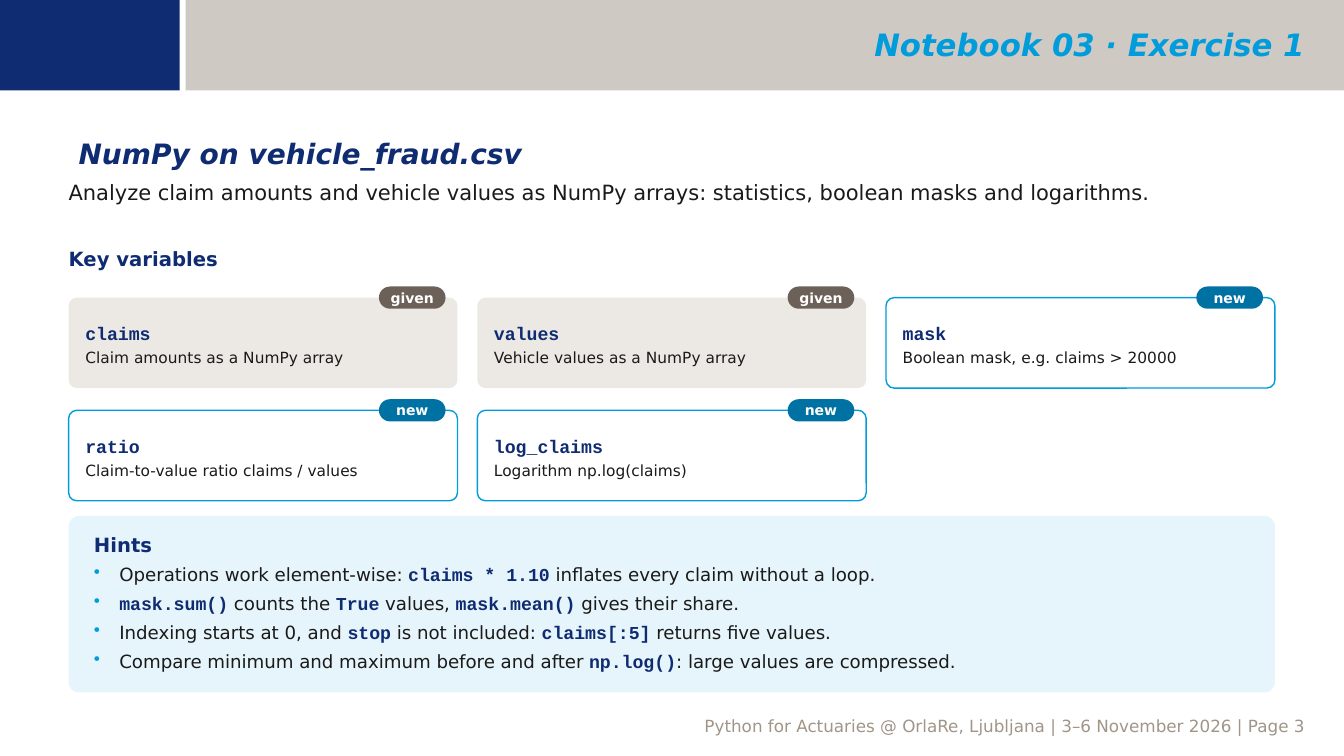
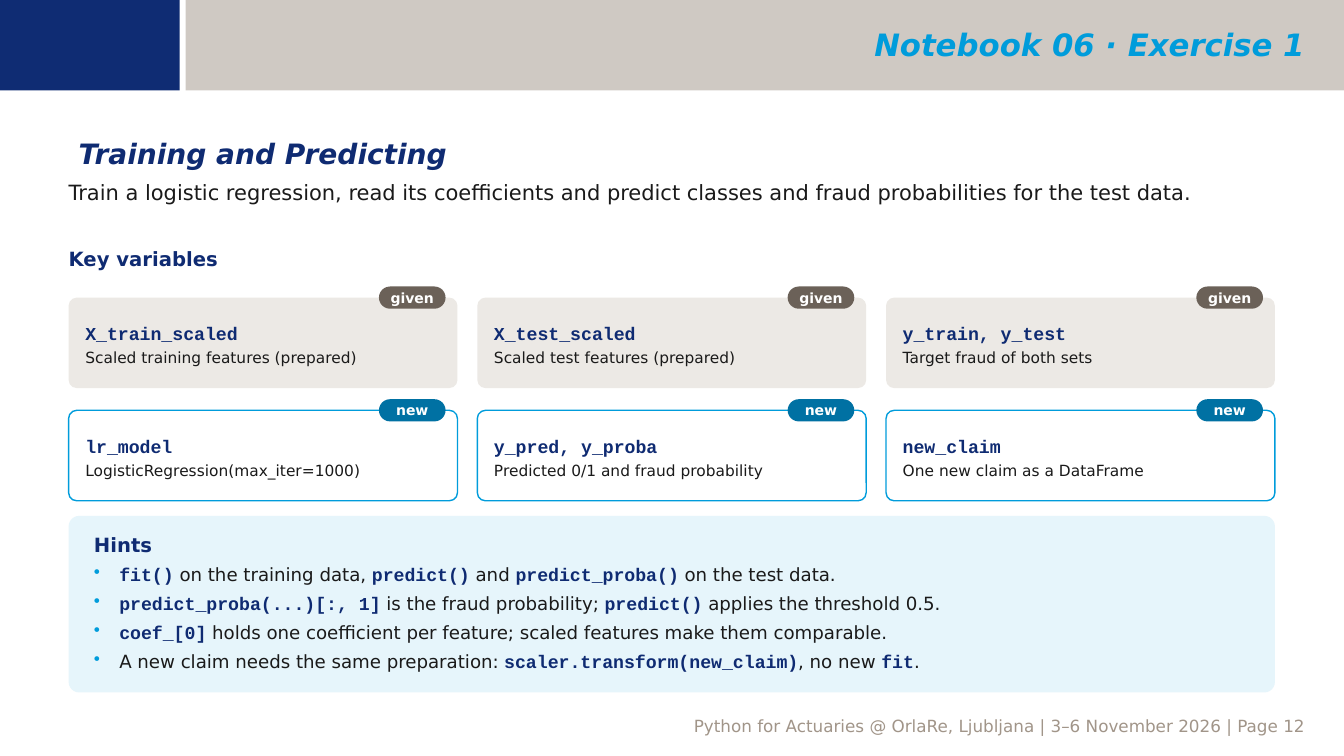
"""Build two exercise slides with variable cards and hints."""
from dataclasses import dataclass

from lxml.etree import SubElement
from pptx import Presentation
from pptx.dml.color import RGBColor
from pptx.enum.shapes import MSO_SHAPE
from pptx.enum.text import MSO_ANCHOR, PP_ALIGN
from pptx.oxml.ns import qn
from pptx.util import Cm, Pt


@dataclass(frozen=True)
class Theme:
    sans: str = "DejaVu Sans"
    mono: str = "Courier New"
    corner: str = "0F2C73"
    navy: str = "0F2B72"
    sky: str = "009CDB"
    ink: str = "1A1A1A"
    taupe: str = "A19589"
    white: str = "FFFFFF"
    hint_fill: str = "E6F5FB"
    header_size: int = 22
    title_size: int = 20
    intro_size: int = 15
    heading_size: int = 14
    body_size: int = 13
    small_size: int = 11
    badge_size: int = 10
    footer_size: int = 12


theme = Theme()
CARD_STYLES = {
    "given": {"fill": "ECE9E5", "line": None, "badge": "6B6158"},
    "new": {"fill": theme.white, "line": theme.sky, "badge": "0071A3"},
}
MARGIN, CONTENT_WIDTH = 1.73, 30.4
SLIDE_WIDTH, HEADER_HEIGHT = 33.87, 2.28
COLUMNS, CARD_GAP = 3, 0.5
CARD_WIDTH = (CONTENT_WIDTH - (COLUMNS - 1) * CARD_GAP) / COLUMNS
CARD_HEIGHT, CARD_TOP, ROW_STEP = 2.28, 7.5, 2.84
BADGE_WIDTH, BADGE_HEIGHT, BADGE_INSET = 1.68, 0.56, 0.3
NO_INSETS = (0, 0, 0, 0)
TEXT_INSETS = (0.25, 0.13, 0.25, 0.13)

EXERCISES = [
    {
        "header": "Notebook 03 · Exercise 1",
        "title": "NumPy on vehicle_fraud.csv",
        "intro": "Analyze claim amounts and vehicle values as NumPy arrays: "
                 "statistics, boolean masks and logarithms.",
        "cards": [
            ("claims", "Claim amounts as a NumPy array", "given"),
            ("values", "Vehicle values as a NumPy array", "given"),
            ("mask", "Boolean mask, e.g. claims > 20000", "new"),
            ("ratio", "Claim-to-value ratio claims / values", "new"),
            ("log_claims", "Logarithm np.log(claims)", "new"),
        ],
        "hints": [
            "Operations work element-wise: `claims * 1.10` inflates every claim without a loop.",
            "`mask.sum()` counts the `True` values, `mask.mean()` gives their share.",
            "Indexing starts at 0, and `stop` is not included: `claims[:5]` returns five values.",
            "Compare minimum and maximum before and after `np.log()`: large values are compressed.",
        ],
        "number": 3,
    },
    {
        "header": "Notebook 06 · Exercise 1",
        "title": "Training and Predicting",
        "intro": "Train a logistic regression, read its coefficients and predict "
                 "classes and fraud probabilities for the test data.",
        "cards": [
            ("X_train_scaled", "Scaled training features (prepared)", "given"),
            ("X_test_scaled", "Scaled test features (prepared)", "given"),
            ("y_train, y_test", "Target fraud of both sets", "given"),
            ("lr_model", "LogisticRegression(max_iter=1000)", "new"),
            ("y_pred, y_proba", "Predicted 0/1 and fraud probability", "new"),
            ("new_claim", "One new claim as a DataFrame", "new"),
        ],
        "hints": [
            "`fit()` on the training data, `predict()` and `predict_proba()` on the test data.",
            "`predict_proba(...)[:, 1]` is the fraud probability; `predict()` applies the threshold 0.5.",
            "`coef_[0]` holds one coefficient per feature; scaled features make them comparable.",
            "A new claim needs the same preparation: `scaler.transform(new_claim)`, no new `fit`.",
        ],
        "number": 12,
    },
]


def add_box(page, place, fill=None, line=None, radius=None, insets=NO_INSETS, anchor=MSO_ANCHOR.TOP):
    """Add a text box, or a filled shape when a fill is given."""
    position = [Cm(length) for length in place]
    if fill is None:
        box = page.shapes.add_textbox(*position)
    else:
        kind = MSO_SHAPE.RECTANGLE if radius is None else MSO_SHAPE.ROUNDED_RECTANGLE
        box = page.shapes.add_shape(kind, *position)
        box.shadow.inherit = False
        box.fill.solid()
        box.fill.fore_color.rgb = RGBColor.from_string(fill)
        if radius is not None:
            box.adjustments[0] = radius
        if line is None:
            box.line.fill.background()
        else:
            box.line.color.rgb = RGBColor.from_string(line)
            box.line.width = Pt(1)
    frame = box.text_frame
    frame.word_wrap = True
    frame.vertical_anchor = anchor
    frame.margin_left, frame.margin_top, frame.margin_right, frame.margin_bottom = map(Cm, insets)
    return box


def add_text(box, text, size, color, bold=False, italic=False, font=theme.sans,
             align=PP_ALIGN.LEFT, before=None, bullet=False):
    """Add a paragraph, setting backticked parts as code."""
    frame = box.text_frame
    para = frame.add_paragraph() if frame.text else frame.paragraphs[0]
    para.alignment = align
    if before is not None:
        para.space_before = Pt(before)
    if bullet:
        properties = para._p.get_or_add_pPr()
        properties.set("marL", str(Cm(0.64)))
        properties.set("indent", str(-Cm(0.64)))
        SubElement(SubElement(properties, qn("a:buClr")), qn("a:srgbClr"), val=theme.sky)
        SubElement(properties, qn("a:buChar"), char="•")
    para.font.name = font
    para.font.size = Pt(size)
    para.font.bold = bold
    para.font.italic = italic
    para.font.color.rgb = RGBColor.from_string(color)
    for index, part in enumerate(text.split("`")):
        if part:
            span = para.add_run()
            span.text = part
            if index % 2:
                span.font.name = theme.mono
                span.font.bold = True
                span.font.color.rgb = RGBColor.from_string(theme.navy)


deck = Presentation()
deck.slide_width, deck.slide_height = Cm(SLIDE_WIDTH), Cm(19.05)

for exercise in EXERCISES:
    page = deck.slides.add_slide(deck.slide_layouts[6])

    footer = add_box(page, (1.93, 17.91, 31.22, 0.8), insets=TEXT_INSETS)
    add_text(footer, f"Python for Actuaries @ OrlaRe, Ljubljana | 3–6 November 2026 | Page {exercise['number']}",
             theme.footer_size, theme.taupe, align=PP_ALIGN.RIGHT)

    band_left = 4.68
    band = add_box(page, (band_left, 0, SLIDE_WIDTH - band_left, HEADER_HEIGHT), theme.taupe)
    band_color = band.fill._xPr.find(qn("a:solidFill"))[0]
    SubElement(band_color, qn("a:alpha"), val="50000")
    add_box(page, (0, 0, 4.53, HEADER_HEIGHT), theme.corner)

    header = add_box(page, (5.13, 0.05, 28, 2.13), insets=TEXT_INSETS, anchor=MSO_ANCHOR.MIDDLE)
    add_text(header, exercise["header"], theme.header_size, theme.sky,
             bold=True, italic=True, align=PP_ALIGN.RIGHT)
    title = add_box(page, (MARGIN, 3.3, CONTENT_WIDTH, 1.02), insets=TEXT_INSETS)
    add_text(title, exercise["title"], theme.title_size, theme.navy, bold=True, italic=True)
    intro = add_box(page, (MARGIN, 4.52, CONTENT_WIDTH, 1.57))
    add_text(intro, exercise["intro"], theme.intro_size, theme.ink)
    heading = add_box(page, (MARGIN, 6.22, 15.24, 0.81))
    add_text(heading, "Key variables", theme.heading_size, theme.navy, bold=True)

    for index, (name, meaning, status) in enumerate(exercise["cards"]):
        row, column = divmod(index, COLUMNS)
        left = MARGIN + column * (CARD_WIDTH + CARD_GAP)
        top = CARD_TOP + row * ROW_STEP
        style = CARD_STYLES[status]
        card = add_box(page, (left, top, CARD_WIDTH, CARD_HEIGHT), style["fill"], style["line"],
                       0.09, (0.36, 0.25, 0.36, 0.15), MSO_ANCHOR.MIDDLE)
        add_text(card, name, theme.body_size, theme.navy, bold=True, font=theme.mono)
        add_text(card, meaning, theme.small_size, theme.ink, before=3)
        badge_left = left + CARD_WIDTH - BADGE_INSET - BADGE_WIDTH
        badge = add_box(page, (badge_left, top - BADGE_HEIGHT / 2, BADGE_WIDTH, BADGE_HEIGHT),
                        style["badge"], radius=0.5, anchor=MSO_ANCHOR.MIDDLE)
        add_text(badge, status, theme.badge_size, theme.white, bold=True, align=PP_ALIGN.CENTER)

    hints = add_box(page, (MARGIN, 13, CONTENT_WIDTH, 4.45), theme.hint_fill,
                    radius=0.06, insets=(0.56, 0.36, 0.56, 0.25))
    add_text(hints, "Hints", theme.heading_size, theme.navy, bold=True)
    for hint in exercise["hints"]:
        add_text(hints, hint, theme.body_size, theme.ink, before=5, bullet=True)

deck.save("out.pptx")
